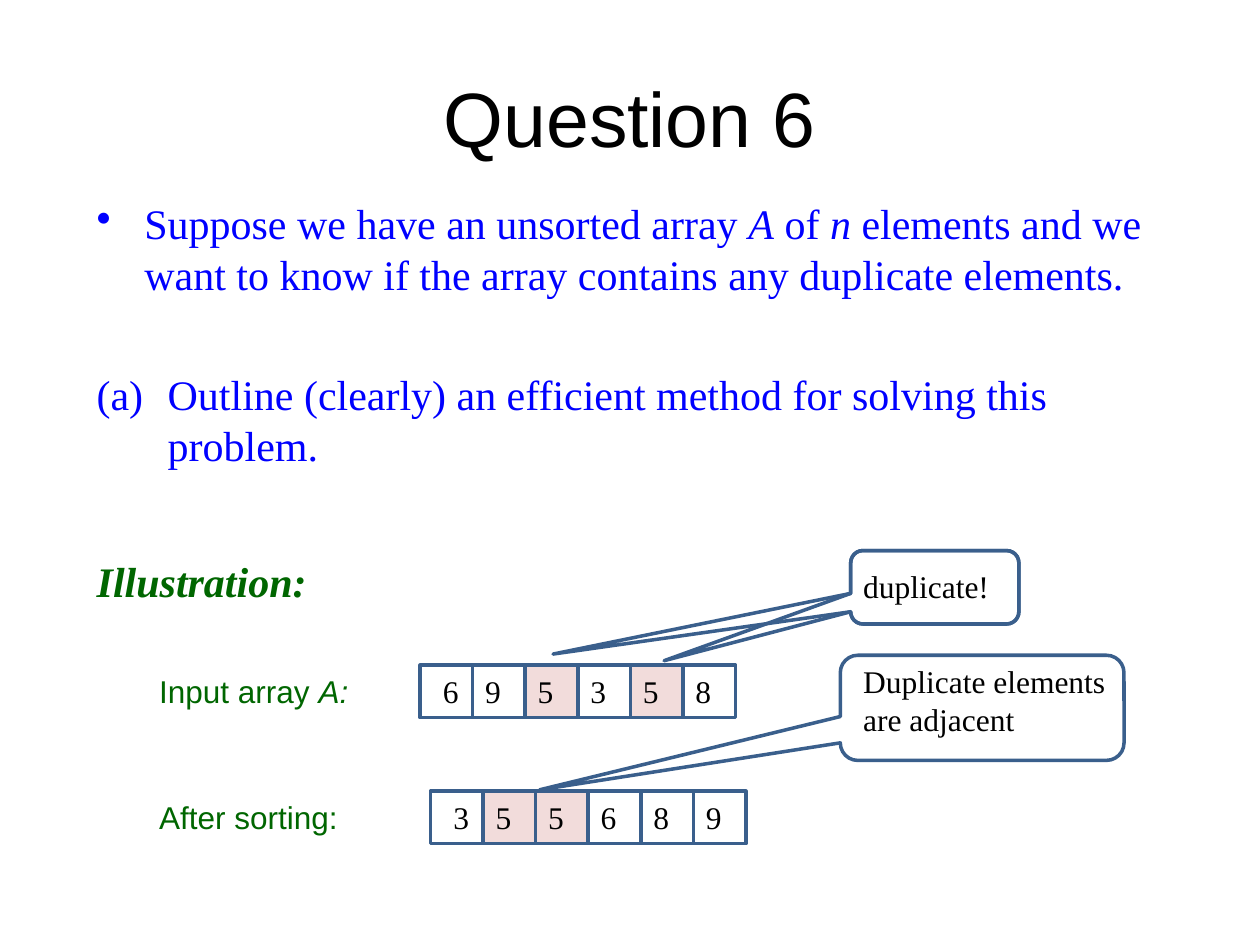
from pptx import Presentation
from pptx.dml.color import RGBColor
from pptx.enum.shapes import MSO_SHAPE
from pptx.enum.text import MSO_ANCHOR, PP_ALIGN
from pptx.util import Cm, Pt
from lxml.etree import SubElement
from pptx.oxml.ns import qn

BLACK = RGBColor(0x00, 0x00, 0x00)
WHITE = RGBColor(0xFF, 0xFF, 0xFF)
BLUE = RGBColor(0x00, 0x00, 0xFF)
GREEN = RGBColor(0x00, 0x66, 0x00)
PINK = RGBColor(0xF2, 0xDC, 0xDB)
LINE = RGBColor(0x3A, 0x5F, 0x8C)
SANS, SERIF = "Arial", "Times New Roman"
CELL = 1.06
INSET = 0.25

TITLE = "Question 6"
BODY = [
    {"runs": [("Suppose we have an unsorted array ", ""), ("A", "i"), (" of ", ""), ("n", "i"),
              (" elements and we want to know if the array contains any duplicate elements.", "")],
     "color": BLUE, "indent": 0.96, "before": 0, "bullet": "•"},
    {"runs": [("(a)\tOutline (clearly) an efficient method for solving this problem.", "")],
     "color": BLUE, "indent": 1.43, "before": 40, "bullet": None},
    {"runs": [("Illustration:", "bi")],
     "color": GREEN, "indent": 0, "before": 49, "bullet": None},
]
ARRAYS = [
    {"label": [("Input array ", ""), ("A:", "i")], "left": 8.47, "top": 13.41,
     "values": [6, 9, 5, 3, 5, 8], "marked": {2, 4}},
    {"label": [("After sorting:", "")], "left": 8.68, "top": 15.95,
     "values": [3, 5, 5, 6, 8, 9], "marked": {1, 2}},
]
CALLOUTS = [
    ("", (17.15, 11.1, 3.39, 1.48), (-2.27, 0.91), (0, 0)),
    ("duplicate!", (17.15, 11.1, 3.39, 1.48), (-1.61, 1.0), (0.18, 0.26)),
    ("Duplicate elements are adjacent", (16.94, 13.21, 5.72, 2.12), (-1.56, 0.78), (0.36, 0.03)),
]


def add_runs(p, runs, font, size, color):
    for text, style in runs:
        r = p.add_run()
        r.text = text
        r.font.name, r.font.size = font, Pt(size)
        r.font.color.rgb = color
        r.font.bold, r.font.italic = "b" in style, "i" in style


def set_frame(tf, left=INSET, top=0.13, right=INSET, anchor=MSO_ANCHOR.TOP):
    tf.word_wrap = True
    tf.vertical_anchor = anchor
    tf.margin_left, tf.margin_top, tf.margin_right = Cm(left), Cm(top), Cm(right)
    tf.paragraphs[0].alignment = PP_ALIGN.LEFT
    return tf


def add_text(s, box, **frame):
    return set_frame(s.shapes.add_textbox(*map(Cm, box)).text_frame, **frame)


def add_outlined(s, kind, box):
    sp = s.shapes.add_shape(kind, *map(Cm, box))
    sp.shadow.inherit = False
    sp.line.color.rgb = LINE
    sp.line.width = Pt(2)
    return sp


def add_body(s):
    tf = add_text(s, (1.7, 3.86, 22.43, 13.16))
    for i, item in enumerate(BODY):
        p = tf.add_paragraph() if i else tf.paragraphs[0]
        p.space_before = Pt(item["before"])
        pPr = p._p.get_or_add_pPr()
        pPr.set("marL", str(Cm(item["indent"])))
        pPr.set("indent", str(-Cm(item["indent"])))
        if item["bullet"]:
            SubElement(pPr, qn("a:buChar")).set("char", item["bullet"])
        add_runs(p, item["runs"], SERIF, 24, item["color"])


def add_array(s, array):
    tf = add_text(s, (2.96, array["top"], 4.87, 1.02))
    add_runs(tf.paragraphs[0], array["label"], SANS, 18, GREEN)
    for i, value in enumerate(array["values"]):
        sp = add_outlined(s, MSO_SHAPE.RECTANGLE,
                          (array["left"] + i * CELL, array["top"], CELL, CELL))
        sp.fill.solid()
        sp.fill.fore_color.rgb = PINK if i in array["marked"] else WHITE
        tf = set_frame(sp.text_frame, left=INSET if i else 0.46, right=0)
        add_runs(tf.paragraphs[0], [(str(value), "")], SERIF, 18, BLACK)


def add_callout(s, text, box, tip, margins):
    sp = add_outlined(s, MSO_SHAPE.ROUNDED_RECTANGULAR_CALLOUT, box)
    sp.fill.background()
    sp.adjustments[0], sp.adjustments[1] = tip
    if text:
        tf = set_frame(sp.text_frame, left=margins[0], top=margins[1], right=0)
        add_runs(tf.paragraphs[0], [(text, "")], SERIF, 18, BLACK)


def main():
    prs = Presentation()
    prs.slide_width, prs.slide_height = Cm(25.4), Cm(19.05)
    s = prs.slides.add_slide(prs.slide_layouts[6])
    tf = add_text(s, (1.27, 0.76, 22.86, 3.18), anchor=MSO_ANCHOR.MIDDLE)
    tf.paragraphs[0].alignment = PP_ALIGN.CENTER
    add_runs(tf.paragraphs[0], [(TITLE, "")], SANS, 44, BLACK)
    add_body(s)
    for array in ARRAYS:
        add_array(s, array)
    for callout in CALLOUTS:
        add_callout(s, *callout)
    prs.save("out.pptx")


if __name__ == "__main__":
    main()
